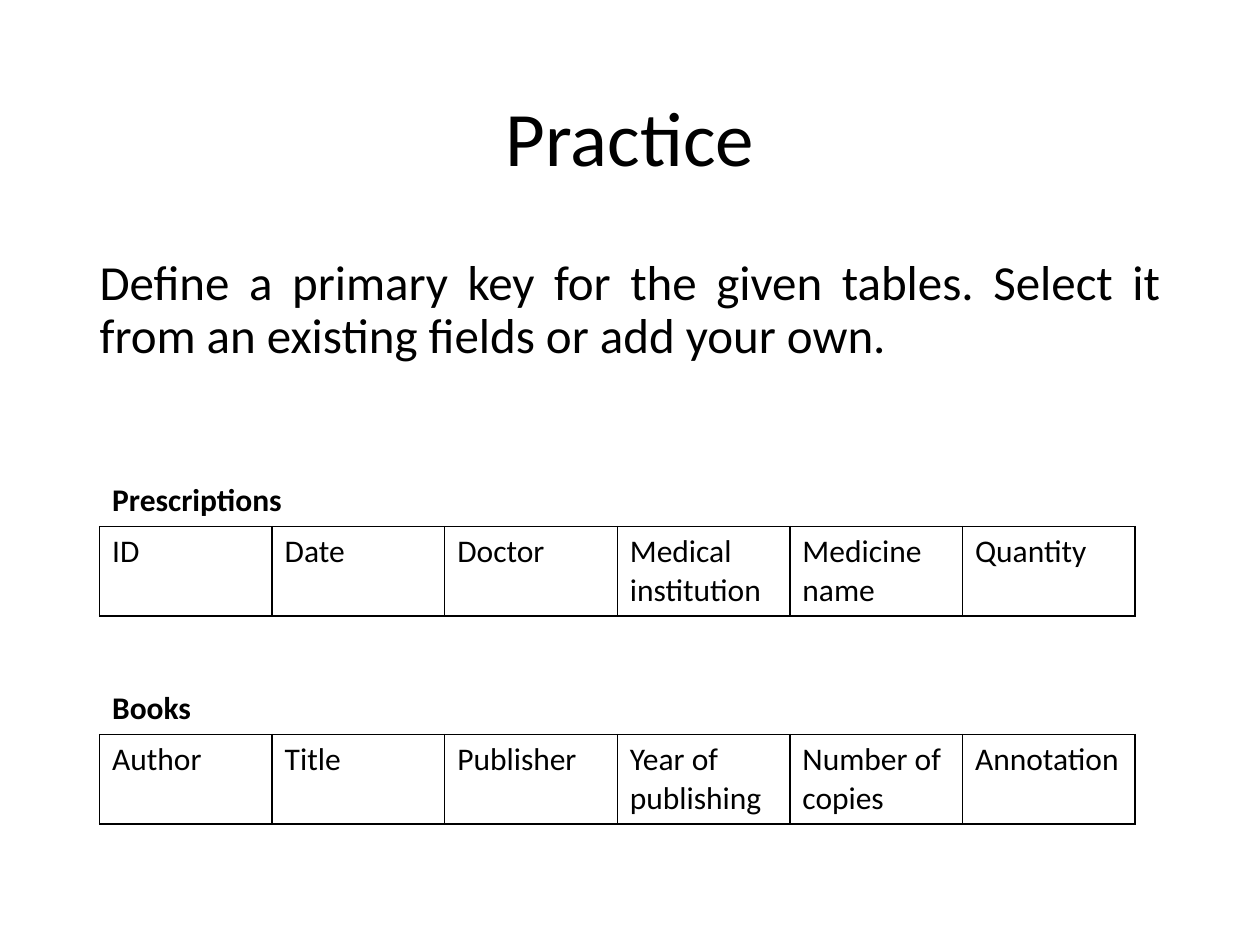
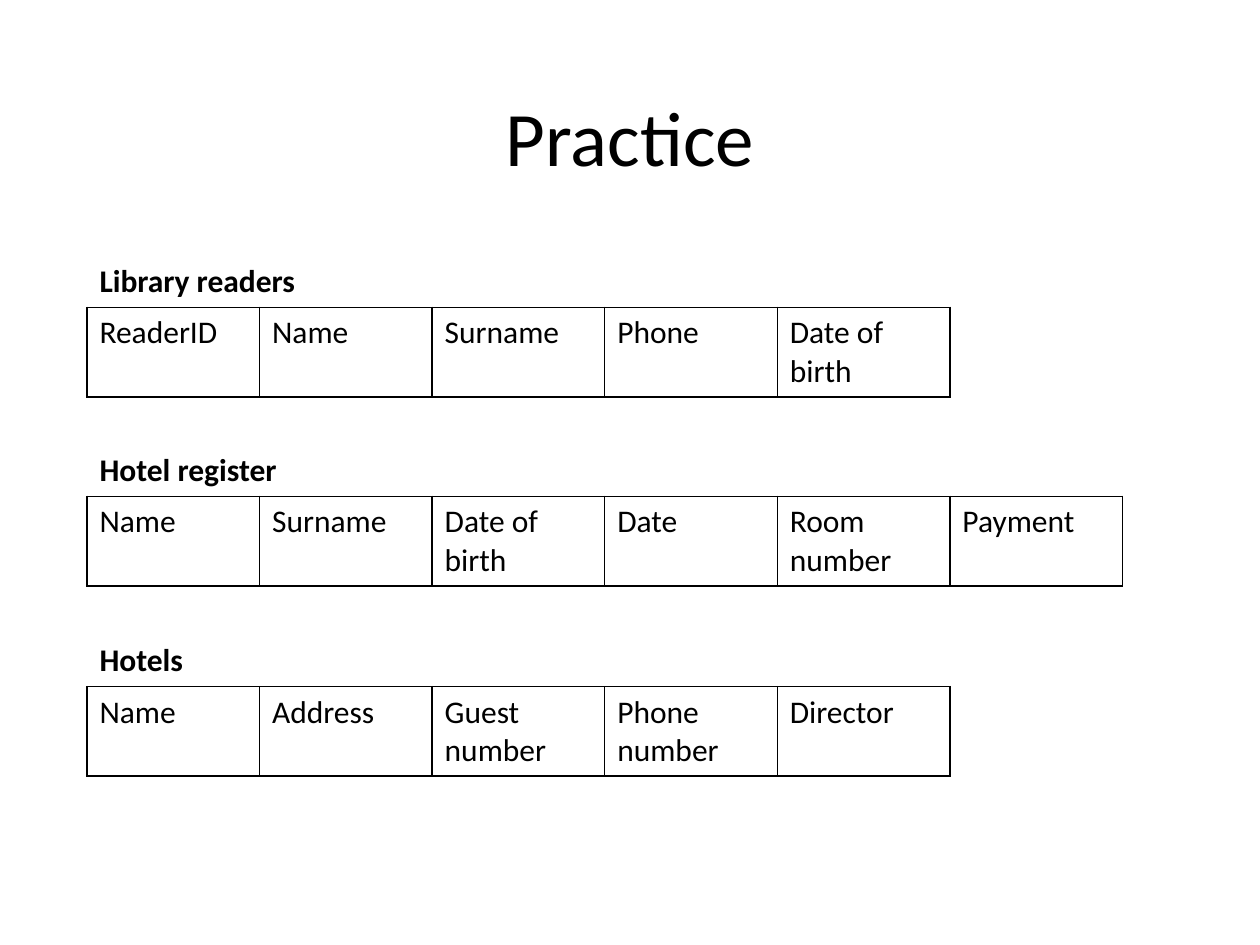
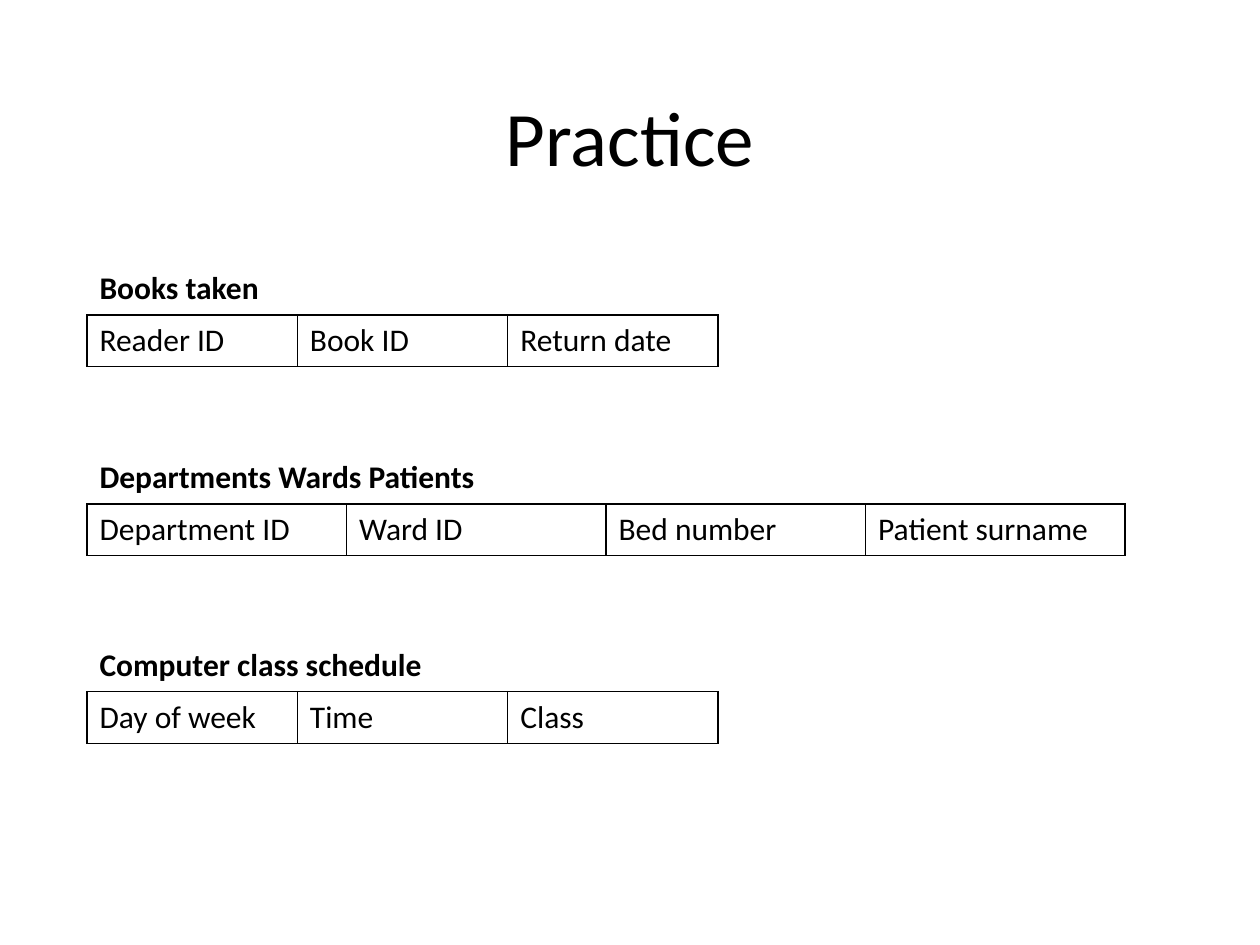
import pptx
import pptx.dml.color
import pptx.enum.text
import pptx.oxml.ns
import pptx.util
from lxml import etree

Inches = pptx.util.Inches
Pt = pptx.util.Pt
qn = pptx.oxml.ns.qn
Align = pptx.enum.text.PP_ALIGN

BLACK = pptx.dml.color.RGBColor(0x00, 0x00, 0x00)
FONT = "Calibri"
TEXT_LEFT = 0.69
TEXT_WIDTH = 8.62
HEADING_HEIGHT = 0.41
ONE_LINE = 0.41
TWO_LINES = 0.7
TITLE_AND_BODY, TITLE_ONLY = 1, 5


def style_paragraph(para, size, bold=False):
    for span in para.runs:
        span.font.name = FONT
        span.font.size = Pt(size)
        span.font.bold = bold
        span.font.color.rgb = BLACK


def fill_placeholder(box, text, top, height, size, align):
    box.left, box.top = Inches(TEXT_LEFT), Inches(top)
    box.width, box.height = Inches(TEXT_WIDTH), Inches(height)
    box.text_frame.text = text
    para = box.text_frame.paragraphs[0]
    para.alignment = align
    para.line_spacing = 0.9
    para.space_before = Pt(0)
    style_paragraph(para, size)
    return para


def add_practice_page(deck, layout):
    page = deck.slides.add_slide(deck.slide_layouts[layout])
    fill_placeholder(page.shapes.title, "Practice", 0.4, 1.45, 44, Align.CENTER)
    page.shapes.title.text_frame.vertical_anchor = pptx.enum.text.MSO_ANCHOR.MIDDLE
    return page


def add_task(page, text):
    para = fill_placeholder(page.placeholders[1], text, 2, 1.94, 28, Align.JUSTIFY)
    properties = para._p.get_or_add_pPr()
    properties.set("marL", "0")
    properties.set("indent", "0")
    etree.SubElement(properties, qn("a:buNone"))


def set_borders(cell, drawn_sides):
    """Draw the named sides (from L, R, T, B) and clear the others."""
    properties = cell._tc.get_or_add_tcPr()
    for side in "LRTB":
        line = etree.SubElement(properties, qn(f"a:ln{side}"), w=str(Pt(1)))
        if side in drawn_sides:
            fill = etree.SubElement(line, qn("a:solidFill"))
            etree.SubElement(fill, qn("a:srgbClr"), val=str(BLACK))
        else:
            etree.SubElement(line, qn("a:noFill"))
    cell.fill.background()


def write_cell(cell, text, bold):
    cell.text_frame.text = text
    style_paragraph(cell.text_frame.paragraphs[0], 18, bold)


def add_field_table(page, heading, fields, left, top, column_width,
                    field_height, heading_span=2):
    """Add a table with an open heading row above a boxed row of field names."""
    table = page.shapes.add_table(
        2, len(fields), Inches(left), Inches(top),
        Inches(column_width * len(fields)),
        Inches(HEADING_HEIGHT + field_height)).table
    table.first_row = table.horz_banding = False
    table.rows[0].height = Inches(HEADING_HEIGHT)
    table.rows[1].height = Inches(field_height)
    for column, field in enumerate(fields):
        table.columns[column].width = Inches(column_width)
        set_borders(table.cell(0, column), "B")
        set_borders(table.cell(1, column), "LRTB")
        write_cell(table.cell(1, column), field, False)
    table.cell(0, 0).merge(table.cell(0, heading_span - 1))
    write_cell(table.cell(0, 0), heading, True)


def main():
    deck = pptx.Presentation()
    deck.slide_width, deck.slide_height = Inches(10), Inches(7.5)

    page = add_practice_page(deck, TITLE_AND_BODY)
    add_task(page, "Define a primary key for the given tables. "
                   "Select it from an existing fields or add your own.")
    for top, heading, fields in (
        (3.77, "Prescriptions", ("ID", "Date", "Doctor", "Medical institution",
                                 "Medicine name", "Quantity")),
        (5.42, "Books", ("Author", "Title", "Publisher", "Year of publishing",
                         "Number of copies", "Annotation")),
    ):
        add_field_table(page, heading, fields, 0.79, top, 1.37, TWO_LINES)

    page = add_practice_page(deck, TITLE_ONLY)
    for top, heading, fields in (
        (2.03, "Library readers", ("ReaderID", "Name", "Surname", "Phone",
                                   "Date of birth")),
        (3.53, "Hotel register", ("Name", "Surname", "Date of birth", "Date",
                                  "Room number", "Payment")),
        (5.04, "Hotels", ("Name", "Address", "Guest number", "Phone number",
                          "Director")),
    ):
        add_field_table(page, heading, fields, TEXT_LEFT, top, 1.37, TWO_LINES)

    page = add_practice_page(deck, TITLE_ONLY)
    for top, heading, fields, column_width, heading_span in (
        (2.09, "Books taken", ("Reader ID", "Book ID", "Return date"), 1.67, 2),
        (3.59, "Departments Wards Patients",
         ("Department ID", "Ward ID", "Bed number", "Patient surname"), 2.06, 3),
        (5.08, "Computer class schedule", ("Day of week", "Time", "Class"), 1.67, 2),
    ):
        add_field_table(page, heading, fields, TEXT_LEFT, top, column_width,
                        ONE_LINE, heading_span)

    deck.save("out.pptx")


if __name__ == "__main__":
    main()
